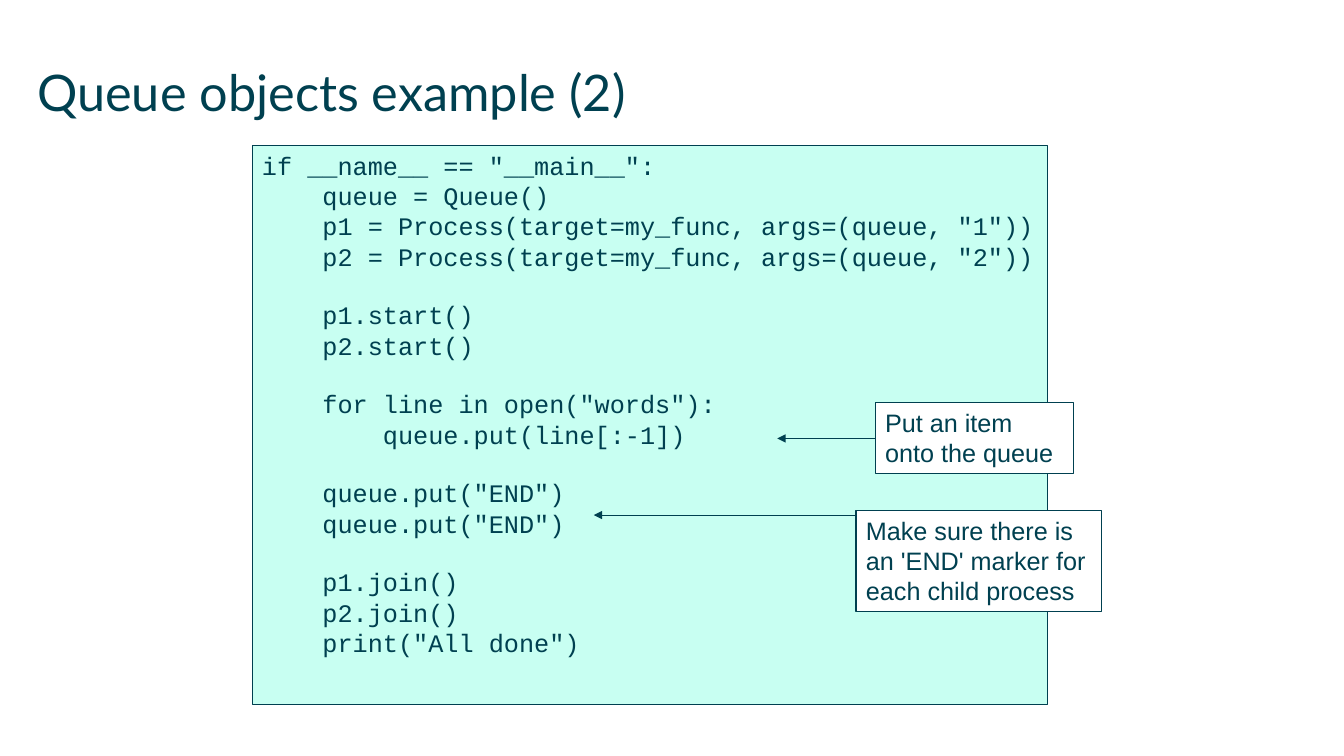
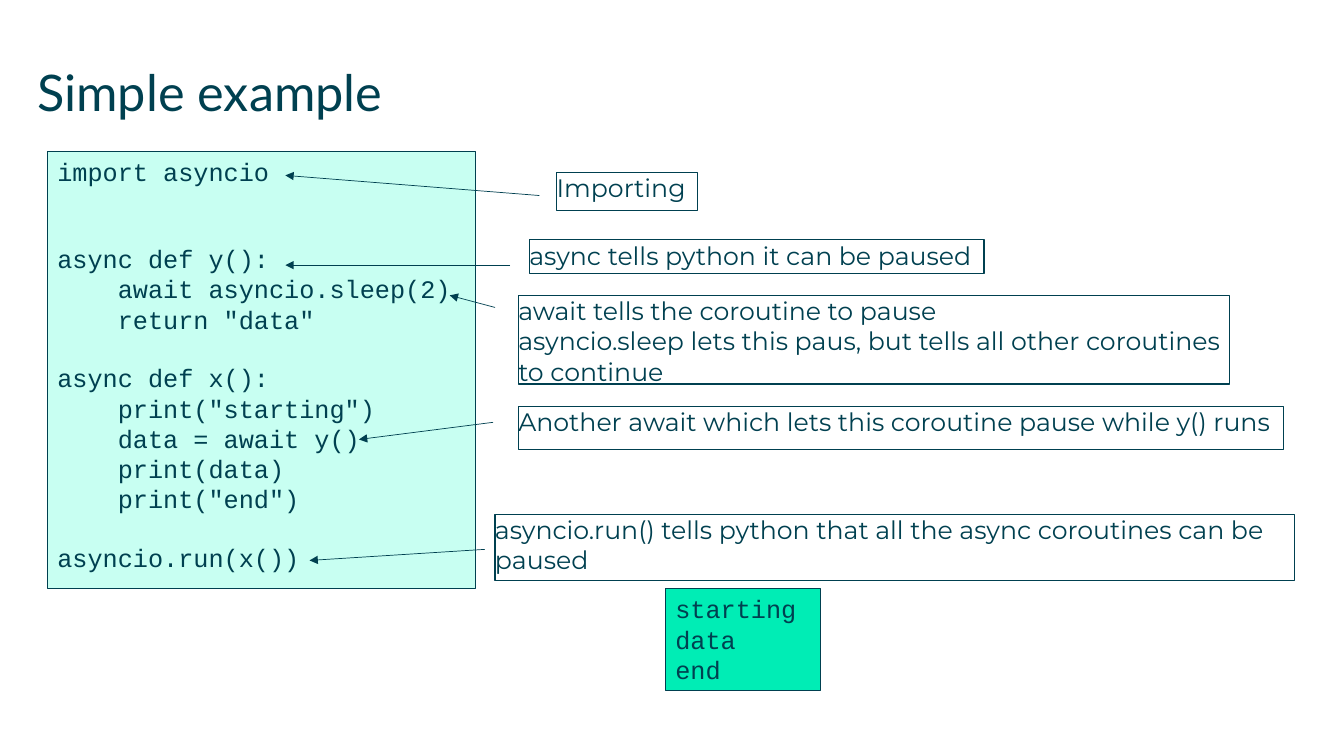
"""Build two slides that explain code listings with callouts and arrows."""
from lxml import etree
from pptx import Presentation
from pptx.dml.color import RGBColor
from pptx.enum.shapes import MSO_CONNECTOR, MSO_SHAPE
from pptx.enum.text import MSO_ANCHOR, PP_ALIGN
from pptx.oxml.ns import qn
from pptx.util import Inches, Pt

RECTANGLE = MSO_SHAPE.RECTANGLE
STRAIGHT = MSO_CONNECTOR.STRAIGHT
TOP = MSO_ANCHOR.TOP
LEFT = PP_ALIGN.LEFT

COLORS = {"ink": "004050", "code": "C8FFF2", "output": "00EDB5", "paper": "FFFFFF"}
INK = RGBColor.from_string(COLORS["ink"])
CODE_FONT = "Courier New"
TEXT_SIZE = 18
CHARACTER_WIDTH = 0.15
CODE_LINE_HEIGHT = Pt(20.4)

QUEUE_CODE = '''if __name__ == "__main__":
    queue = Queue()
    p1 = Process(target=my_func, args=(queue, "1"))
    p2 = Process(target=my_func, args=(queue, "2"))

    p1.start()
    p2.start()

    for line in open("words"):
        queue.put(line[:-1])

    queue.put("END")
    queue.put("END")

    p1.join()
    p2.join()
    print("All done")'''

ASYNC_CODE = '''import asyncio


async def y():
    await asyncio.sleep(2)
    return "data"

async def x():
    print("starting")
    data = await y()
    print(data)
    print("end")

asyncio.run(x())'''

SLIDES = [
    {
        "title": "Queue objects example (2)",
        "listings": [((2.5, 1.44, 7.89, 5.55), QUEUE_CODE, "code")],
        "arrow_width": 0.75,
        "callout_style": {"font": "Arial", "fill": "paper"},
        "callouts": [
            ((8.68, 3.99, 1.97, 0.71), "Put an item onto the queue",
             (8.68, 4.35, 7.71, 4.35)),
            ((8.49, 5.06, 2.44, 1.01),
             "Make sure there is an 'END' marker for each child process",
             (8.59, 5.11, 5.89, 5.11)),
        ],
    },
    {
        "title": "Simple example",
        "listings": [
            ((0.47, 1.5, 4.25, 4.34), ASYNC_CODE, "code"),
            ((6.6, 5.84, 1.54, 1.01), "starting\ndata\nend", "output"),
        ],
        "arrow_width": 0.5,
        "callout_style": {"font": "Montserrat", "inset": False},
        "callouts": [
            ((5.52, 1.71, 1.4, 0.38), "Importing", (5.35, 1.94, 2.83, 1.74)),
            ((5.25, 2.38, 4.51, 0.33), "async tells python it can be paused",
             (5.06, 2.63, 2.83, 2.63)),
            ((5.14, 2.93, 7.05, 0.88),
             "await tells the coroutine to pause\n"
             "asyncio.sleep lets this paus, but tells all other coroutines\n"
             "to continue",
             (4.91, 3.05, 4.46, 2.93)),
            ((5.14, 4.03, 7.59, 0.43),
             "Another await which lets this coroutine pause while y() runs",
             (4.89, 4.19, 3.56, 4.36)),
            ((4.91, 5.1, 7.93, 0.66),
             "asyncio.run() tells python that all the async coroutines can be paused",
             (4.81, 5.45, 3.07, 5.56)),
        ],
    },
]


def add_box(page, place, text, font, size=TEXT_SIZE, fill=None, outlined=True, inset=True):
    """Add a box of text, turning leading spaces into indents and empty lines into spacing."""
    box = page.shapes.add_shape(RECTANGLE, *[Inches(length) for length in place])
    box.shadow.inherit = False
    if fill:
        box.fill.solid()
        box.fill.fore_color.rgb = RGBColor.from_string(COLORS[fill])
    else:
        box.fill.background()
    if outlined:
        box.line.color.rgb = INK
        box.line.width = Pt(0.75)
    else:
        box.line.fill.background()
    frame = box.text_frame
    frame.word_wrap = True
    frame.vertical_anchor = TOP
    if not inset:
        frame.margin_left = frame.margin_right = frame.margin_top = frame.margin_bottom = 0
    lines = text.split("\n")
    frame.text = "\n".join(line.strip() for line in lines if line)
    paragraphs = iter(frame.paragraphs)
    empty_lines = 0
    for line in lines:
        if not line:
            empty_lines += 1
            continue
        para = next(paragraphs)
        para.alignment = LEFT
        if empty_lines:
            para.space_before = empty_lines * CODE_LINE_HEIGHT
        empty_lines = 0
        indent = len(line) - len(line.lstrip())
        if indent:
            properties = para._p.get_or_add_pPr()
            properties.set("marL", str(Inches(indent * CHARACTER_WIDTH)))
            properties.set("indent", "0")
        for span in para.runs:
            span.font.name = font
            span.font.size = Pt(size)
            span.font.color.rgb = INK


def add_arrow(page, ends, width):
    """Add a straight arrow that points at its second end."""
    arrow = page.shapes.add_connector(STRAIGHT, *[Inches(length) for length in ends])
    arrow.line.color.rgb = INK
    arrow.line.width = Pt(width)
    etree.SubElement(arrow.line._get_or_add_ln(), qn("a:tailEnd"), type="triangle")
    etree.SubElement(arrow._element.spPr, qn("a:effectLst"))


deck = Presentation()
deck.slide_width = Inches(13.33)
deck.slide_height = Inches(7.5)

for content in SLIDES:
    page = deck.slides.add_slide(deck.slide_layouts[6])
    add_box(page, (0.37, 0.61, 12.6, 0.88), content["title"], "Lato", size=36,
            outlined=False, inset=False)
    for place, code, fill in content["listings"]:
        add_box(page, place, code, CODE_FONT, fill=fill)
    for place, text, ends in content["callouts"]:
        add_arrow(page, ends, content["arrow_width"])
        add_box(page, place, text, **content["callout_style"])

deck.save("out.pptx")
